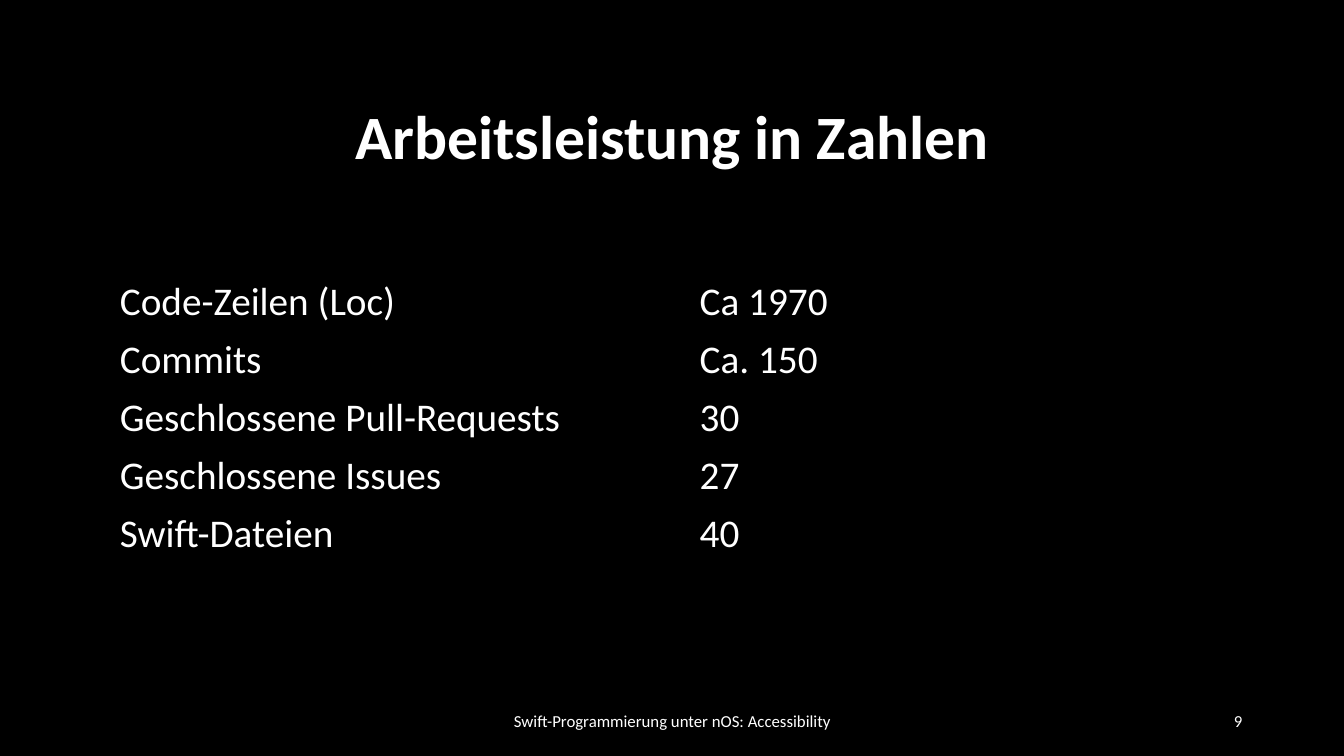
from typing import NamedTuple

from pptx import Presentation
from pptx.dml.color import RGBColor
from pptx.enum.text import MSO_ANCHOR, PP_ALIGN
from pptx.oxml.ns import qn
from pptx.slide import Slide
from pptx.text.text import TextFrame
from pptx.util import Inches, Pt

LEFT, CENTER, RIGHT = PP_ALIGN.LEFT, PP_ALIGN.CENTER, PP_ALIGN.RIGHT
MIDDLE = MSO_ANCHOR.MIDDLE
TITLE_ONLY = 5
NO_GRID = "{2D5ABB26-0587-4C30-8999-92F81FD0307C}"
FONT = "Calibri"
COLORS = {"back": "000000", "text": "FFFFFF"}


class Stat(NamedTuple):
    """A measure of the work and its value."""
    label: str
    value: str


class Note(NamedTuple):
    """A text in the footer line."""
    text: str
    left: float
    width: float
    align: PP_ALIGN


STATS = [
    Stat("Code-Zeilen (Loc)", "Ca 1970"),
    Stat("Commits", "Ca. 150"),
    Stat("Geschlossene Pull-Requests", "30"),
    Stat("Geschlossene Issues", "27"),
    Stat("Swift-Dateien", "40"),
]
NOTES = [
    Note("Swift-Programmierung unter nOS: Accessibility", 4.42, 4.5, CENTER),
    Note("9", 9.42, 3, RIGHT),
]


def color(name: str) -> RGBColor:
    """Look up a colour by its name."""
    return RGBColor.from_string(COLORS[name])


def write(frame: TextFrame, text: str, *, size: float, bold: bool = False,
          align: PP_ALIGN = LEFT, space: float = 1.0) -> None:
    """Put formatted text into a text frame."""
    frame.word_wrap = True
    line = frame.paragraphs[0]
    line.alignment = align
    line.line_spacing = space
    run = line.add_run()
    run.text = text
    run.font.name = FONT
    run.font.size = Pt(size)
    run.font.bold = bold
    run.font.color.rgb = color("text")


def add_title(slide: Slide, text: str) -> None:
    """Place and fill the title."""
    title = slide.shapes.title
    title.left, title.top = Inches(0.92), Inches(0.9)
    title.width, title.height = Inches(11.5), Inches(0.96)
    title.fill.solid()
    title.fill.fore_color.rgb = color("back")
    title.text_frame.vertical_anchor = MIDDLE
    write(title.text_frame, text, size=44, bold=True, align=CENTER, space=0.9)


def add_stats(slide: Slide, stats: list[Stat]) -> None:
    """Draw the table of measures without grid or bands."""
    frame = slide.shapes.add_table(len(stats), 2, Inches(1.09), Inches(2.71),
                                   Inches(11.5), Inches(0.57 * len(stats)))
    table = frame.table
    table.first_row = table.horz_banding = False
    for style in frame._element.iter(qn("a:tableStyleId")):
        style.text = NO_GRID
    for row, stat in zip(table.rows, stats):
        for cell, text in zip(row.cells, stat):
            cell.fill.solid()
            cell.fill.fore_color.rgb = color("back")
            write(cell.text_frame, text, size=28)


def add_note(slide: Slide, note: Note) -> None:
    """Draw one text of the footer line."""
    box = slide.shapes.add_textbox(Inches(note.left), Inches(6.95),
                                   Inches(note.width), Inches(0.4))
    box.text_frame.vertical_anchor = MIDDLE
    write(box.text_frame, note.text, size=12, align=note.align)


def main() -> None:
    """Build and save the slide."""
    deck = Presentation()
    deck.slide_width, deck.slide_height = Inches(13.33), Inches(7.5)
    slide = deck.slides.add_slide(deck.slide_layouts[TITLE_ONLY])
    slide.background.fill.solid()
    slide.background.fill.fore_color.rgb = color("back")
    add_title(slide, "Arbeitsleistung in Zahlen")
    add_stats(slide, STATS)
    for note in NOTES:
        add_note(slide, note)
    deck.save("out.pptx")


main()
